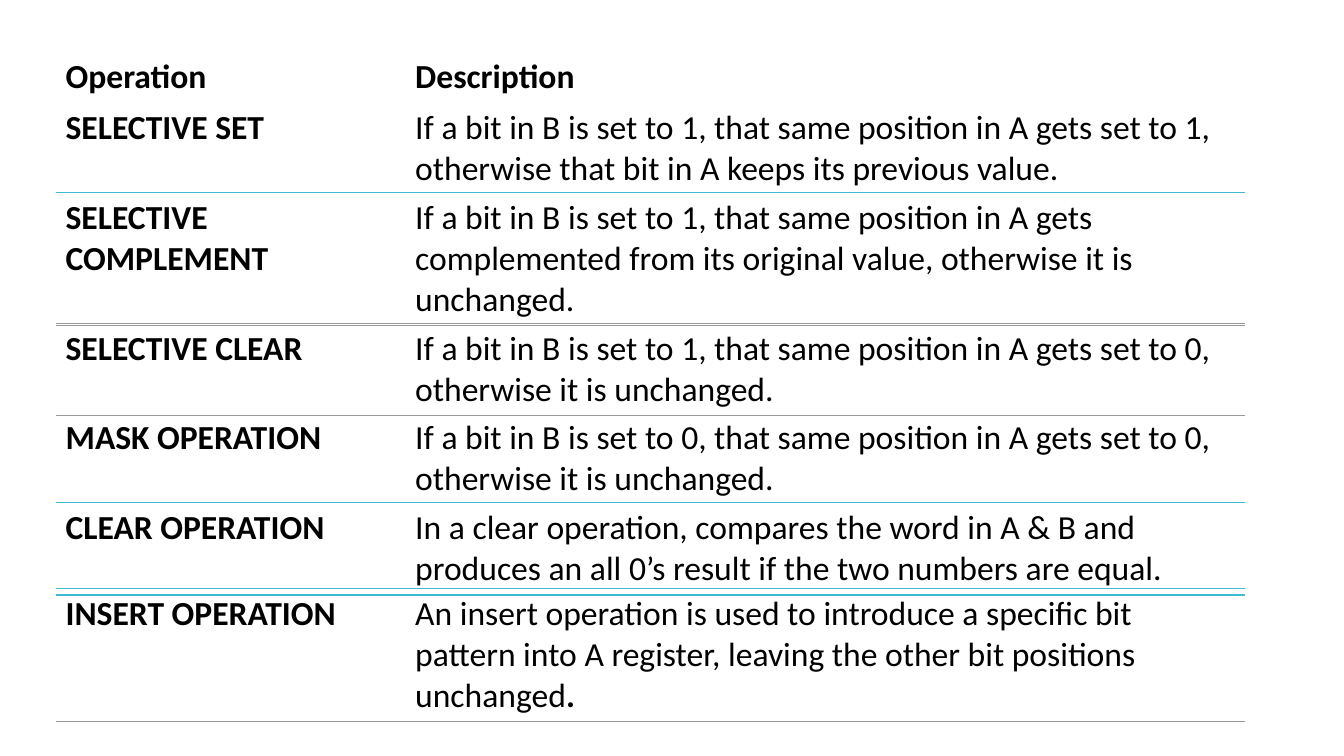
"""Build a slide of tables that describe bitwise register operations."""
from lxml import etree
from pptx import Presentation
from pptx.dml.color import RGBColor
from pptx.oxml.ns import qn
from pptx.util import Cm, Pt

COLORS = {"text": "000000", "teal": "40BAD2", "grey": "999999"}
FONT = "Calibri"
BLANK_LAYOUT = 6
LEFT = 1.4
COLUMN_WIDTHS = (8.81, 21.16)
ONE_LINE, TWO_LINES, THREE_LINES = 1.27, 2.29, 3.3

# Each table: top, row heights, top border, bottom border, rows
TABLES = [
    (1.3, (ONE_LINE, TWO_LINES), None, None, [
        ("Operation", "Description"),
        ("SELECTIVE SET",
         "If a bit in B is set to 1, that same position in A gets set to 1, "
         "otherwise that bit in A keeps its previous value.")]),
    (4.85, (THREE_LINES,), "teal", "grey", [
        ("SELECTIVE COMPLEMENT",
         "If a bit in B is set to 1, that same position in A gets complemented "
         "from its original value, otherwise it is unchanged.")]),
    (8.15, (TWO_LINES,), "grey", "grey", [
        ("SELECTIVE CLEAR",
         "If a bit in B is set to 1, that same position in A gets set to 0, "
         "otherwise it is unchanged.")]),
    (14.83, (THREE_LINES,), "teal", "grey", [
        ("INSERT OPERATION",
         "An insert operation is used to introduce a specific bit pattern into "
         "A register, leaving the other bit positions unchanged", ".")]),
    (10.39, (TWO_LINES,), None, None, [
        ("MASK OPERATION",
         "If a bit in B is set to 0, that same position in A gets set to 0, "
         "otherwise it is unchanged.")]),
    (12.67, (TWO_LINES,), "teal", "teal", [
        ("CLEAR OPERATION",
         "In a clear operation, compares the word in A & B and produces an "
         "all 0’s result if the two numbers are equal.")]),
]


def set_border(cell, side, color):
    """Draw one side of a cell, or hide it when there is no color."""
    line = etree.SubElement(cell._tc.get_or_add_tcPr(), qn(f"a:{side}"), w=str(Pt(1)))
    if color is None:
        etree.SubElement(line, qn("a:noFill"))
    else:
        fill = etree.SubElement(line, qn("a:solidFill"))
        etree.SubElement(fill, qn("a:srgbClr"), val=COLORS[color])


def write_cell(cell, text, bold, bold_ending=""):
    """Write the text of a cell, with an optional bold ending."""
    para = cell.text_frame.paragraphs[0]
    para.font.name = FONT
    para.font.size = Pt(24)
    para.font.bold = bold
    para.font.color.rgb = RGBColor.from_string(COLORS["text"])
    para.add_run().text = text
    if bold_ending:
        span = para.add_run()
        span.text = bold_ending
        span.font.bold = True


def add_operation_table(page, top, heights, top_color, bottom_color, rows):
    """Add a two-column table with optional lines above and below."""
    frame = page.shapes.add_table(len(rows), len(COLUMN_WIDTHS), Cm(LEFT), Cm(top),
                                  Cm(sum(COLUMN_WIDTHS)), Cm(sum(heights)))
    table = frame.table
    table.first_row = False
    table.horz_banding = False
    for column, width in zip(table.columns, COLUMN_WIDTHS):
        column.width = Cm(width)
    for row, height, (name, description, *ending) in zip(table.rows, heights, rows):
        row.height = Cm(height)
        name_cell, description_cell = row.cells
        write_cell(name_cell, name, True)
        write_cell(description_cell, description, name == "Operation", *ending)
        for cell in row.cells:
            for side, color in (("lnL", None), ("lnR", None),
                                ("lnT", top_color), ("lnB", bottom_color)):
                set_border(cell, side, color)
            cell.fill.background()


def main():
    """Build and save the deck."""
    deck = Presentation()
    deck.slide_width = Cm(33.87)
    deck.slide_height = Cm(19.05)
    page = deck.slides.add_slide(deck.slide_layouts[BLANK_LAYOUT])
    for operation_table in TABLES:
        add_operation_table(page, *operation_table)
    deck.save("out.pptx")


if __name__ == "__main__":
    main()
